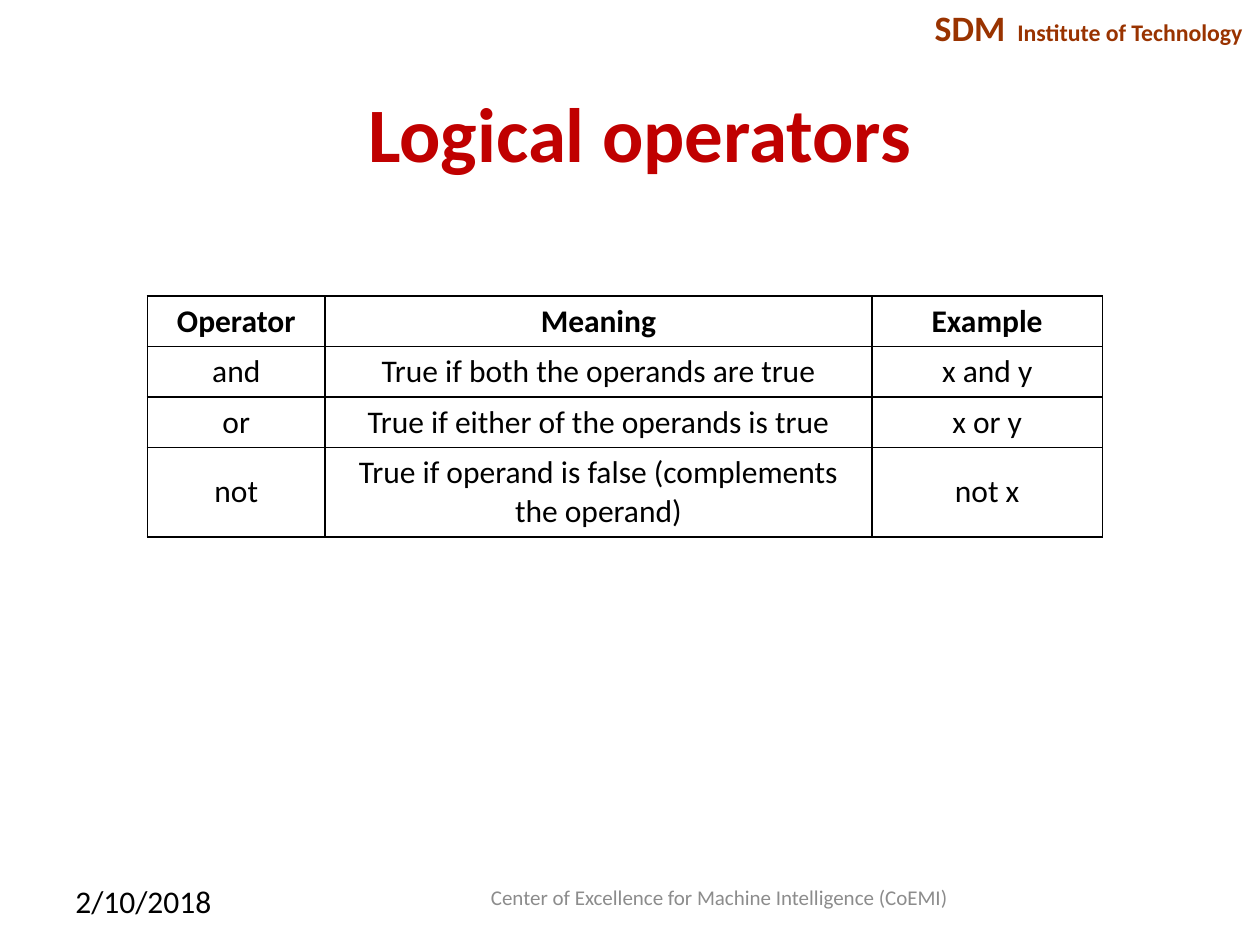
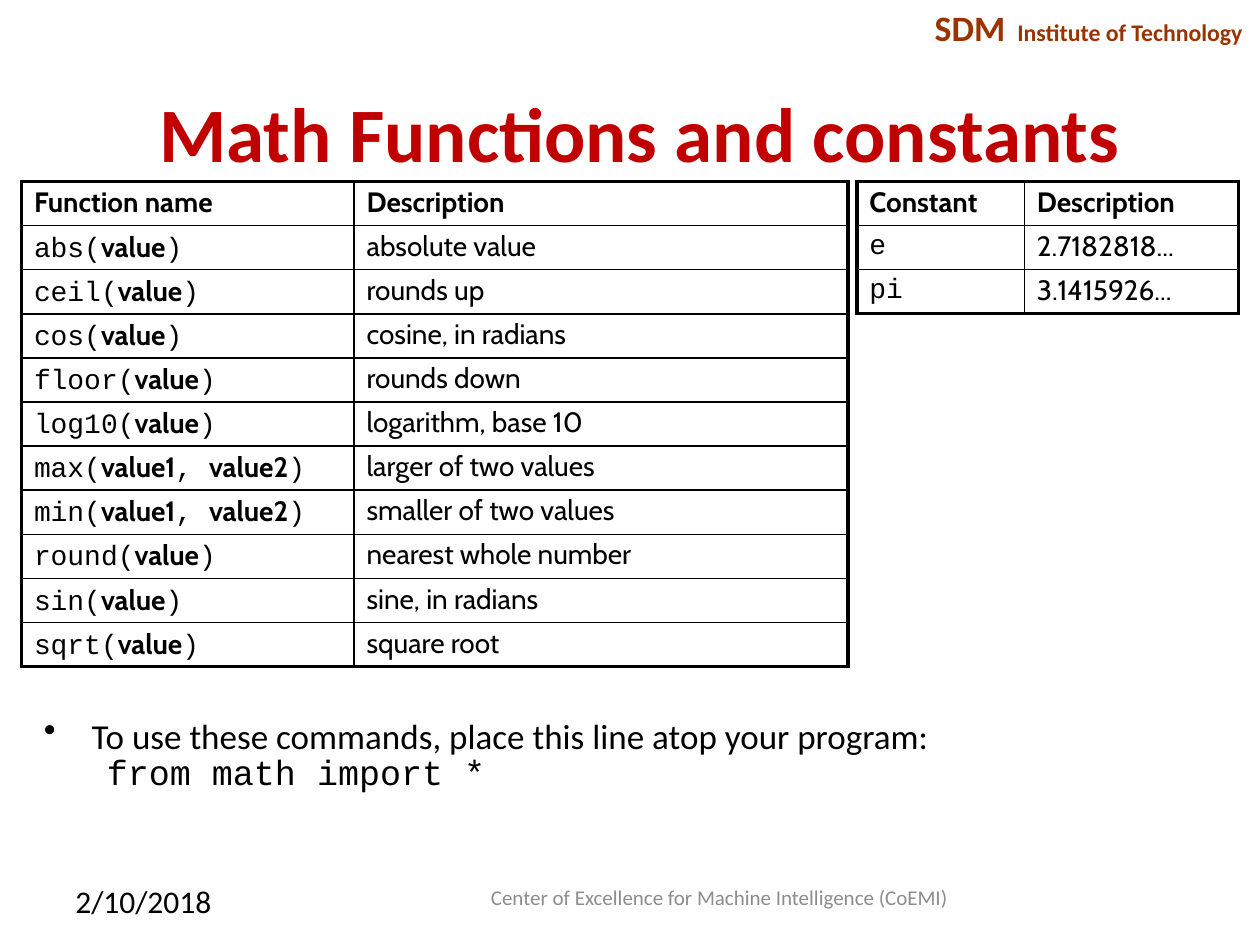
"""Builds two slides on logical operators and math functions."""
import pptx
import pptx.util
import pptx.dml.color
import pptx.enum.text
import pptx.oxml.ns
from lxml import etree

Inches, Pt = pptx.util.Inches, pptx.util.Pt
ALIGN = pptx.enum.text.PP_ALIGN
ANCHOR = pptx.enum.text.MSO_ANCHOR

BLACK, RED, RUST, GREY = "000000", "C00000", "993300", "8C8C8C"
SANS, CABIN, CODE = "Calibri", "Cabin", "Courier New"
THIN, THICK = 1, 2.25
ROW = 0.35

BRAND = [("SDM", {"size": 20.4}), (" ", {"size": 30.6}),
         ("Institute of Technology", {"size": 13.6})]
DATE = "2/10/2018"
FOOT = "Center of Excellence for Machine Intelligence (CoEMI)"

LOGIC = [
    ("Operator", "Meaning", "Example"),
    ("and", "True if both the operands are true", "x and y"),
    ("or", "True if either of the operands is true", "x or y"),
    ("not", "True if operand is false (complements the operand)", "not x"),
]
FUNCS = [
    ("abs", ["value"], "absolute value"),
    ("ceil", ["value"], "rounds up"),
    ("cos", ["value"], "cosine, in radians"),
    ("floor", ["value"], "rounds down"),
    ("log10", ["value"], "logarithm, base 10"),
    ("max", ["value1", "value2"], "larger of two values"),
    ("min", ["value1", "value2"], "smaller of two values"),
    ("round", ["value"], "nearest whole number"),
    ("sin", ["value"], "sine, in radians"),
    ("sqrt", ["value"], "square root"),
]
CONSTS = [("e", "2.7182818..."), ("pi", "3.1415926...")]
USAGE = "To use these commands, place this line atop your program:"
IMPORT = "from math import *"


def paint(text):
    return pptx.dml.color.RGBColor.from_string(text)


def write(para, text, align=ALIGN.LEFT, lead=None, before=None, **form):
    """Fill a paragraph from a string or a list of (text, changes) runs."""
    para.alignment = align
    if lead:
        para.line_spacing = lead
    if before:
        para.space_before = Pt(before)
    for part, change in [(text, {})] if isinstance(text, str) else text:
        look = {"size": 18, "face": SANS, "color": BLACK, "bold": False, **form, **change}
        run = para.add_run()
        run.text = part
        run.font.size = Pt(look["size"])
        run.font.name = look["face"]
        run.font.bold = look["bold"]
        run.font.color.rgb = paint(look["color"])


def frame(slide, left, top, width, height, anchor=ANCHOR.TOP, wrap=True, pad=0.05):
    box = slide.shapes.add_textbox(*map(Inches, (left, top, width, height))).text_frame
    box.word_wrap = wrap
    box.vertical_anchor = anchor
    box.margin_top = box.margin_bottom = Inches(pad)
    return box


def indent(para, left, hang, bullet=None):
    props = para._p.get_or_add_pPr()
    props.set("marL", str(Inches(left)))
    props.set("indent", str(Inches(hang)))
    if bullet:
        etree.SubElement(props, pptx.oxml.ns.qn("a:buChar")).set("char", bullet)


def border(cell, sides):
    props = cell._tc.get_or_add_tcPr()
    for side, width in zip("LRTB", sides):
        line = etree.SubElement(props, pptx.oxml.ns.qn("a:ln" + side), w=str(Pt(width)))
        fill = etree.SubElement(line, pptx.oxml.ns.qn("a:solidFill"))
        etree.SubElement(fill, pptx.oxml.ns.qn("a:srgbClr"), val=BLACK)


def grid(slide, left, top, cols, rows, cells, edge, anchor=ANCHOR.TOP, **form):
    """Add a table with bold headings and an outer border of its own width."""
    size = map(Inches, (left, top, sum(cols), sum(rows)))
    table = slide.shapes.add_table(len(rows), len(cols), *size).table
    table.first_row = table.horz_banding = False
    for col, width in zip(table.columns, cols):
        col.width = Inches(width)
    for r, line in enumerate(cells):
        table.rows[r].height = Inches(rows[r])
        for c, text in enumerate(line):
            cell = table.cell(r, c)
            outer = (c == 0, c == len(cols) - 1, r == 0, r == len(rows) - 1)
            border(cell, [edge if out else THIN for out in outer])
            cell.fill.background()
            cell.vertical_anchor = anchor
            write(cell.text_frame.paragraphs[0], text, bold=r == 0, **form)


def page(deck, title):
    """Add a slide with its brand line, title, date and footer."""
    slide = deck.slides.add_slide(deck.slide_layouts[6])
    brand = frame(slide, 7.32, 0, 2.68, 0.44, wrap=False, pad=0)
    write(brand.paragraphs[0], BRAND, lead=0.8, color=RUST, bold=True)
    head = frame(slide, 0.58, 0.42, 9, 1.25, ANCHOR.MIDDLE)
    write(head.paragraphs[0], title, ALIGN.CENTER, size=44, color=RED, bold=True)
    write(frame(slide, 0.5, 6.95, 2.33, 0.4).paragraphs[0], DATE)
    foot = frame(slide, 3.17, 6.92, 5.08, 0.4, ANCHOR.MIDDLE)
    write(foot.paragraphs[0], FOOT, ALIGN.CENTER, size=12, color=GREY)
    return slide


def call(name, args):
    """Return the runs of a function call with bold arguments."""
    code = {"face": CODE}
    runs = [(name + "(", code)]
    for i, arg in enumerate(args):
        if i:
            runs.append((", ", code))
        runs.append((arg, {"bold": True}))
    return runs + [(")", code)]


def logic(deck):
    slide = page(deck, "Logical operators")
    grid(slide, 1.17, 2.35, [1.41, 4.34, 1.83], [0.4, 0.4, 0.4, 0.71], LOGIC, THIN,
         ANCHOR.MIDDLE, align=ALIGN.CENTER)


def maths(deck):
    slide = page(deck, "Math Functions and constants")
    body = frame(slide, 0.25, 5.5, 9, 1.33, pad=0.35)
    first, second = body.paragraphs[0], body.add_paragraph()
    indent(first, 0.38, -0.38, "•")
    write(first, USAGE, lead=0.7, size=20)
    indent(second, 0.5, 0)
    write(second, IMPORT, lead=0.7, before=4, size=20, face=CODE)

    funcs = [("Function name", "Description")]
    funcs += [(call(name, args), note) for name, args, note in FUNCS]
    consts = [("Constant", "Description")]
    consts += [([(name, {"face": CODE})], value) for name, value in CONSTS]
    for left, cols, cells in ((0.17, [2.64, 3.92], funcs), (6.8, [1.33, 1.7], consts)):
        grid(slide, left, 1.44, cols, [ROW] * len(cells), cells, THICK,
             lead=0.9, size=16, face=CABIN)


def main():
    deck = pptx.Presentation()
    deck.slide_width, deck.slide_height = Inches(10), Inches(7.5)
    logic(deck)
    maths(deck)
    deck.save("out.pptx")


if __name__ == "__main__":
    main()
